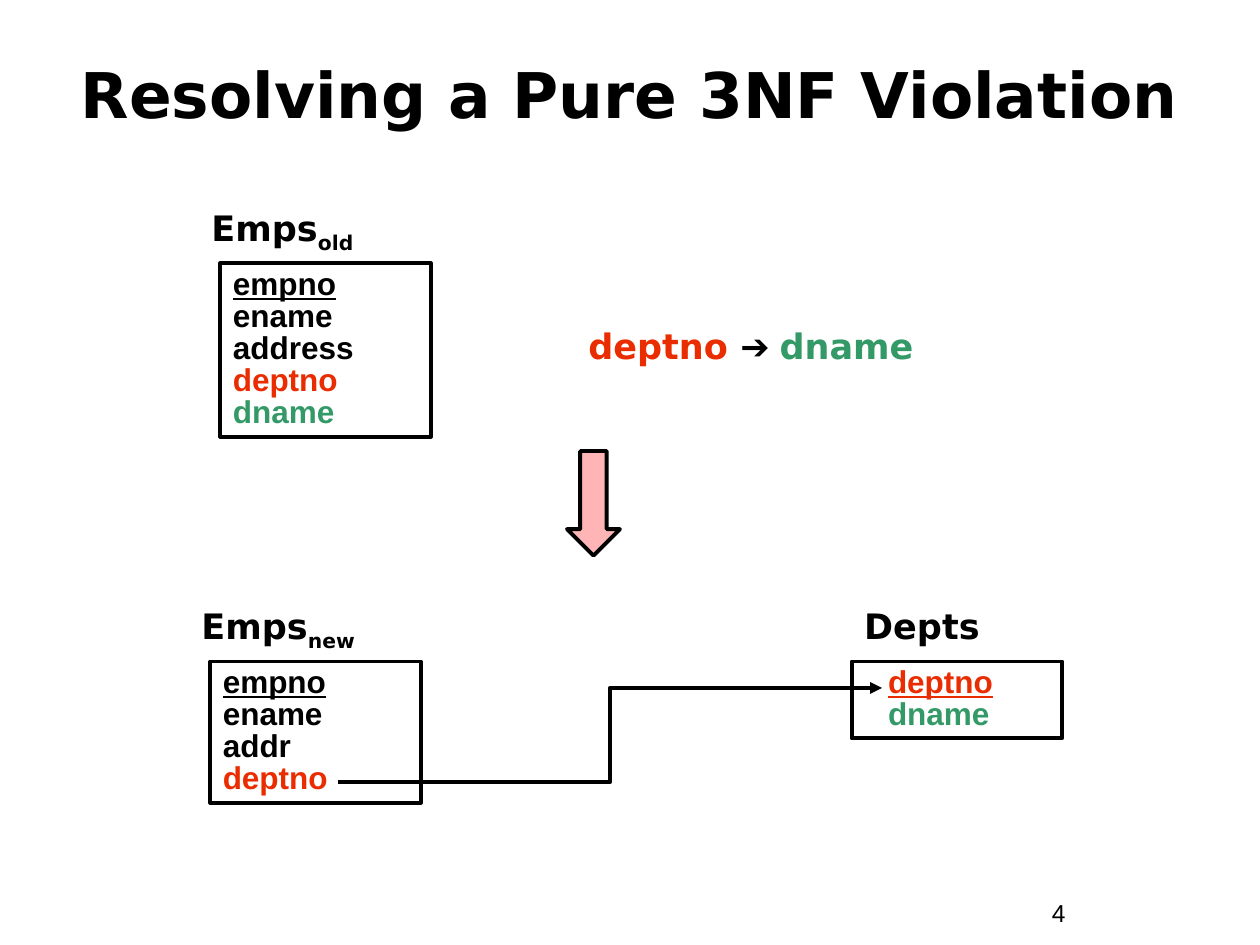
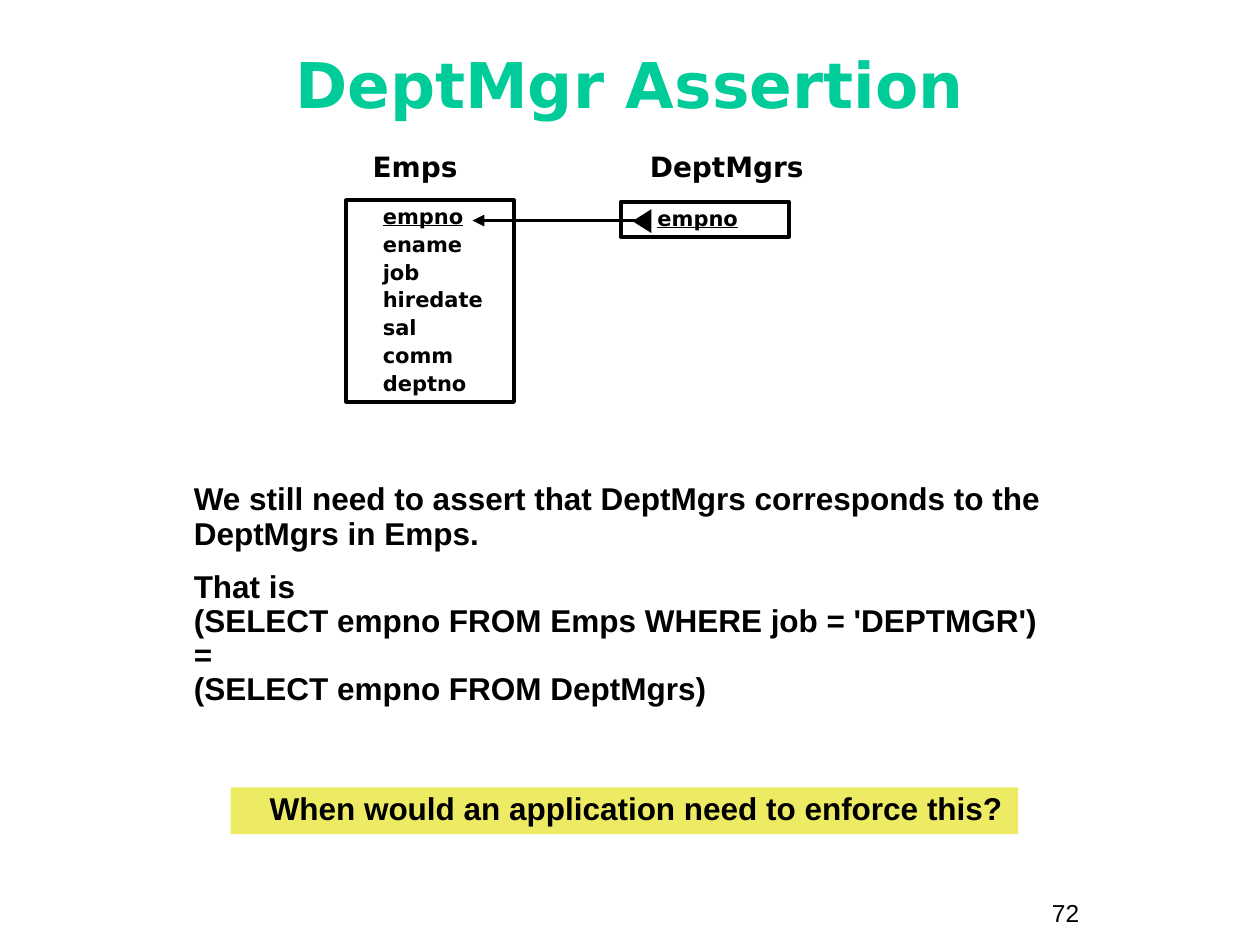
from lxml.etree import SubElement
from pptx import Presentation
from pptx.dml.color import RGBColor
from pptx.enum.shapes import MSO_CONNECTOR, MSO_SHAPE
from pptx.enum.text import MSO_ANCHOR, MSO_AUTO_SIZE, PP_ALIGN
from pptx.oxml.ns import qn
from pptx.util import Inches, Pt

BLACK = RGBColor(0x00, 0x00, 0x00)
RED = RGBColor(0xEA, 0x2D, 0x00)
GREEN = RGBColor(0x33, 0x99, 0x66)
TEAL = RGBColor(0x00, 0xCC, 0x99)
PINK = RGBColor(0xFF, 0xB5, 0xB5)
YELLOW = RGBColor(0xED, 0xEA, 0x63)

SANS = "Arial"
DISPLAY = "DejaVu Sans"
LINE_WIDTH = Pt(2.25)
INDENT = 0.19
TITLE_ONLY = 5

# Formats of single spans
KEY = {"underline": True}
FOREIGN = {"color": RED}
DEPENDENT = {"color": GREEN}
SUBSCRIPT = {"baseline": -25000}


# Text
def add_span(para, text, font=SANS, size=18, color=BLACK, bold=True,
             underline=False, baseline=0):
    """Add text to a paragraph; each newline becomes a line break."""
    for number, line in enumerate(text.split("\n")):
        if number:
            para.add_line_break()
        span = para.add_run()
        span.text = line
        span.font.name = font
        span.font.size = Pt(size)
        span.font.bold = bold
        span.font.underline = underline
        span.font.color.rgb = color
        if baseline:
            span._r.get_or_add_rPr().set("baseline", str(baseline))


def write(shape, paragraphs, align=PP_ALIGN.LEFT, anchor=MSO_ANCHOR.TOP,
          spacing=1.0, before=0, indent=0, **font_format):
    """Fill a shape; a paragraph is a list of (text, span format) pairs."""
    frame = shape.text_frame
    frame.word_wrap = True
    frame.auto_size = MSO_AUTO_SIZE.NONE
    frame.vertical_anchor = anchor
    for number, spans in enumerate(paragraphs):
        para = frame.add_paragraph() if number else frame.paragraphs[0]
        para.alignment = align
        para.line_spacing = spacing
        para.space_before = Pt(before if number else 0)
        if indent:
            properties = para._p.get_or_add_pPr()
            properties.set("marL", str(Inches(indent)))
            properties.set("indent", "0")
        for text, span_format in spans:
            add_span(para, text, **{**font_format, **span_format})


def add_text(page, left, top, width, height, paragraphs, **text_format):
    box = page.shapes.add_textbox(Inches(left), Inches(top),
                                  Inches(width), Inches(height))
    write(box, paragraphs, **text_format)


def add_caption(page, left, top, width, name, subscript="", size=20, **text_format):
    spans = [(name, {})]
    if subscript:
        spans.append((subscript, SUBSCRIPT))
    add_text(page, left, top, width, 0.45, [spans],
             font=DISPLAY, size=size, **text_format)


# Shapes
def add_block(page, kind, left, top, width, height, fill=None, outline=True):
    shape = page.shapes.add_shape(kind, Inches(left), Inches(top),
                                  Inches(width), Inches(height))
    shape.shadow.inherit = False
    if fill is None:
        shape.fill.background()
    else:
        shape.fill.solid()
        shape.fill.fore_color.rgb = fill
    if outline:
        shape.line.color.rgb = BLACK
        shape.line.width = LINE_WIDTH
    else:
        shape.line.fill.background()
    return shape


def add_relation(page, left, top, attributes, width=1.67, row=0.255,
                 padding=0.1, spacing=0.85, **text_format):
    """Draw a box that lists one attribute a row."""
    height = padding + row * len(attributes)
    box = add_block(page, MSO_SHAPE.RECTANGLE, left, top, width, height)
    write(box, [[attribute] for attribute in attributes],
          spacing=spacing, **text_format)


def add_small_relation(page, left, top, attributes):
    add_relation(page, left, top, attributes, width=1.33, row=0.22, padding=0.06,
                 spacing=0.9, before=3, indent=INDENT, anchor=MSO_ANCHOR.MIDDLE,
                 font=DISPLAY, size=12)


def add_arrow(page, kind, start, end):
    arrow = page.shapes.add_connector(kind, *(Inches(n) for n in (*start, *end)))
    arrow.line.color.rgb = BLACK
    arrow.line.width = LINE_WIDTH
    SubElement(arrow.line._get_or_add_ln(), qn("a:tailEnd"), type="triangle")
    SubElement(arrow._element.spPr, qn("a:effectLst"))


# Slides
def add_page(deck, title, number, top, color=BLACK):
    """Add a slide with its title and page number."""
    page = deck.slides.add_slide(deck.slide_layouts[TITLE_ONLY])
    heading = page.shapes.title
    heading.left, heading.top = Inches(0.33), Inches(top)
    heading.width, heading.height = Inches(9.33), Inches(0.92)
    write(heading, [[(title, {})]], align=PP_ALIGN.CENTER, anchor=MSO_ANCHOR.MIDDLE,
          spacing=0.85, font=DISPLAY, size=36, color=color)
    add_text(page, 8.25, 7.08, 0.92, 0.34, [[(str(number), {})]],
             size=14, bold=False)
    return page


def build_violation(deck):
    page = add_page(deck, "Resolving a Pure 3NF Violation", 4, top=0.33)

    # Relation before the split, and its dependency
    add_caption(page, 1.58, 1.59, 2.67, "Emps", "old")
    add_relation(page, 1.75, 2.09, [
        ("empno", KEY), ("ename", {}), ("address", {}),
        ("deptno", FOREIGN), ("dname", DEPENDENT)])
    add_text(page, 4.17, 2.58, 3.58, 0.39,
             [[("deptno ", FOREIGN), ("➔ ", {"font": SANS}), ("dname", DEPENDENT)]],
             align=PP_ALIGN.CENTER, spacing=0.85, font=DISPLAY, size=20)
    add_block(page, MSO_SHAPE.DOWN_ARROW, 4.5, 3.58, 0.42, 0.83, fill=PINK)

    # Relations after the split
    add_caption(page, 1.5, 4.75, 2.67, "Emps", "new")
    add_relation(page, 1.67, 5.25, [
        ("empno", KEY), ("ename", {}), ("addr", {}), ("deptno", FOREIGN)])
    add_caption(page, 6.76, 4.75, 2.15, "Depts")
    add_relation(page, 6.76, 5.25,
                 [("deptno", {**KEY, **FOREIGN}), ("dname", DEPENDENT)],
                 indent=INDENT)
    add_arrow(page, MSO_CONNECTOR.ELBOW, (2.68, 6.21), (7, 5.46))


def build_assertion(deck):
    page = add_page(deck, "DeptMgr Assertion", 72, top=0.25, color=TEAL)

    # Relations
    names = ("ename", "job", "hiredate", "sal", "comm", "deptno")
    add_caption(page, 2.86, 1.17, 1.36, "Emps", size=16, spacing=0.9)
    add_small_relation(page, 2.75, 1.59,
                       [("empno", KEY)] + [(name, {}) for name in names])
    add_caption(page, 5.06, 1.17, 1.53, "DeptMgrs", size=16, spacing=0.9)
    add_small_relation(page, 4.93, 1.6, [("empno", KEY)])

    # Reference with a triangle at its start
    add_arrow(page, MSO_CONNECTOR.STRAIGHT, (5.15, 1.75), (3.75, 1.75))
    marker = add_block(page, MSO_SHAPE.ISOSCELES_TRIANGLE, 5, 1.68, 0.19, 0.15,
                       fill=BLACK, outline=False)
    marker.rotation = 270

    # Explanation and question
    add_text(page, 1.25, 3.79, 7.5, 1.88, [
        [("We still need to assert that DeptMgrs corresponds to the\n"
          "DeptMgrs in Emps.", {})],
        [("That is\n"
          "(SELECT empno FROM Emps WHERE job = 'DEPTMGR')\n"
          "=\n"
          "(SELECT empno FROM DeptMgrs)", {})],
    ], spacing=0.9, before=11.2, indent=INDENT)
    banner = add_block(page, MSO_SHAPE.RECTANGLE, 1.83, 6.25, 6.25, 0.37,
                       fill=YELLOW, outline=False)
    write(banner, [[("When would an application need to enforce this?", {})]],
          align=PP_ALIGN.CENTER, spacing=0.9, indent=INDENT)


def main():
    deck = Presentation()
    deck.slide_width, deck.slide_height = Inches(10), Inches(7.5)
    build_violation(deck)
    build_assertion(deck)
    deck.save("out.pptx")


if __name__ == "__main__":
    main()
